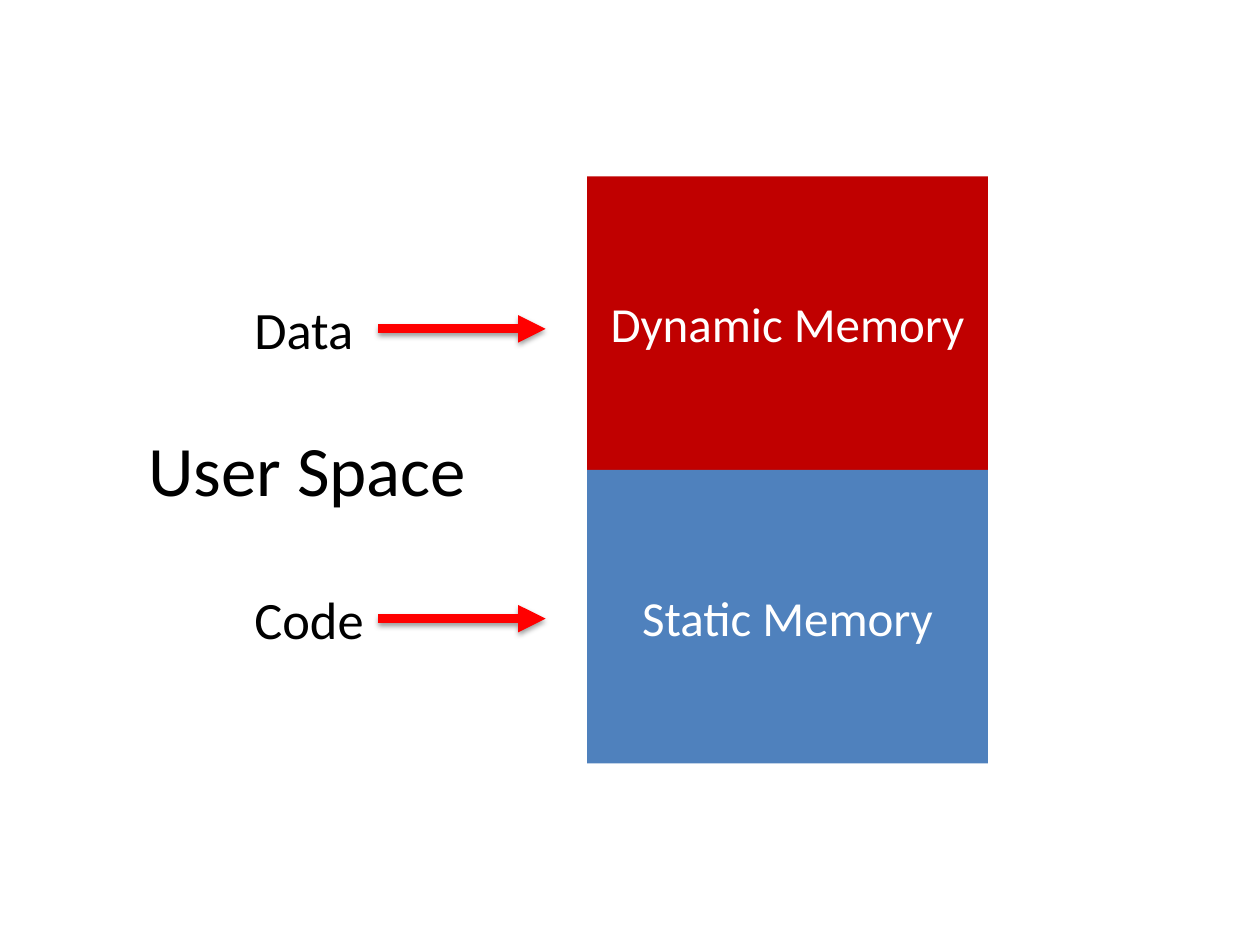
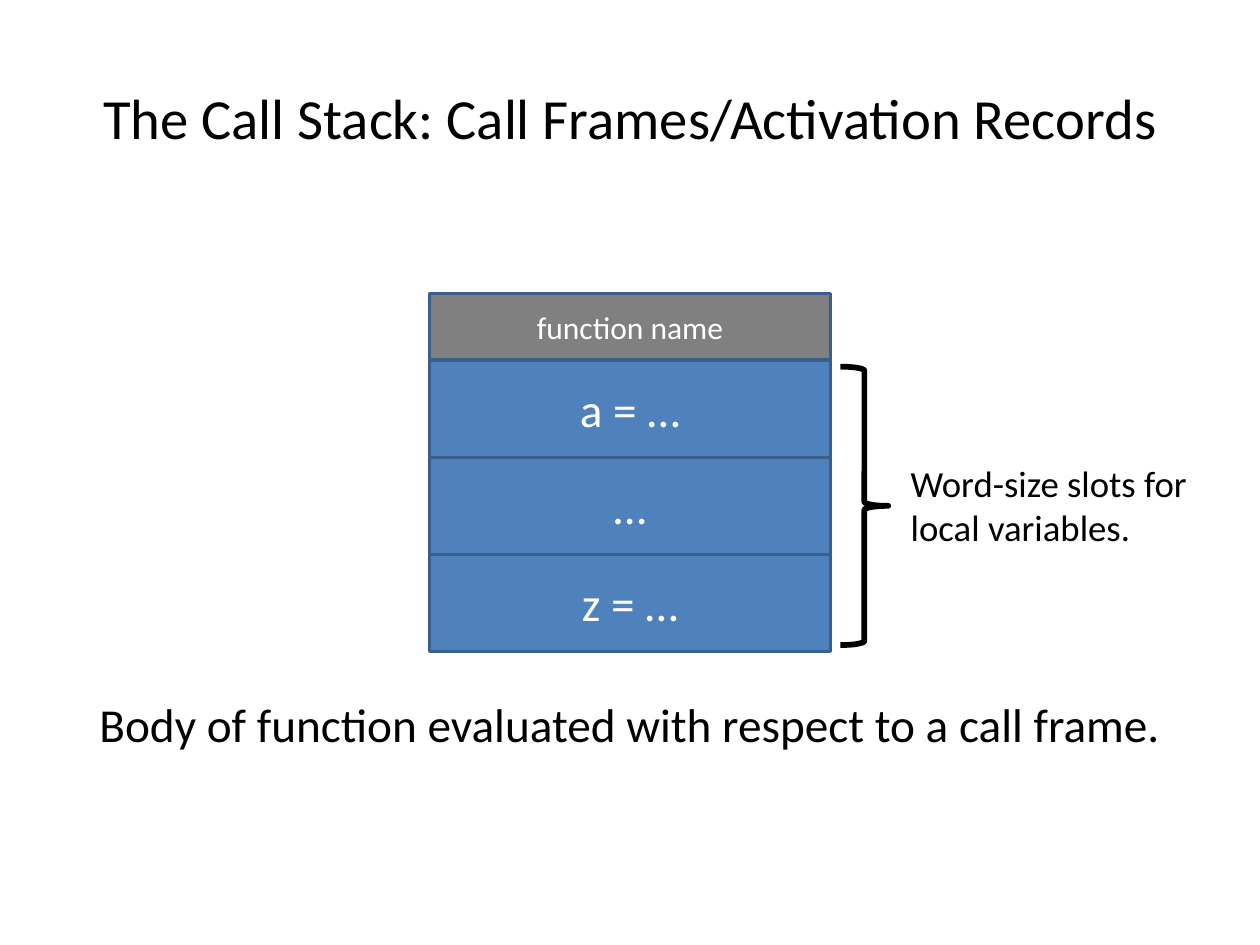
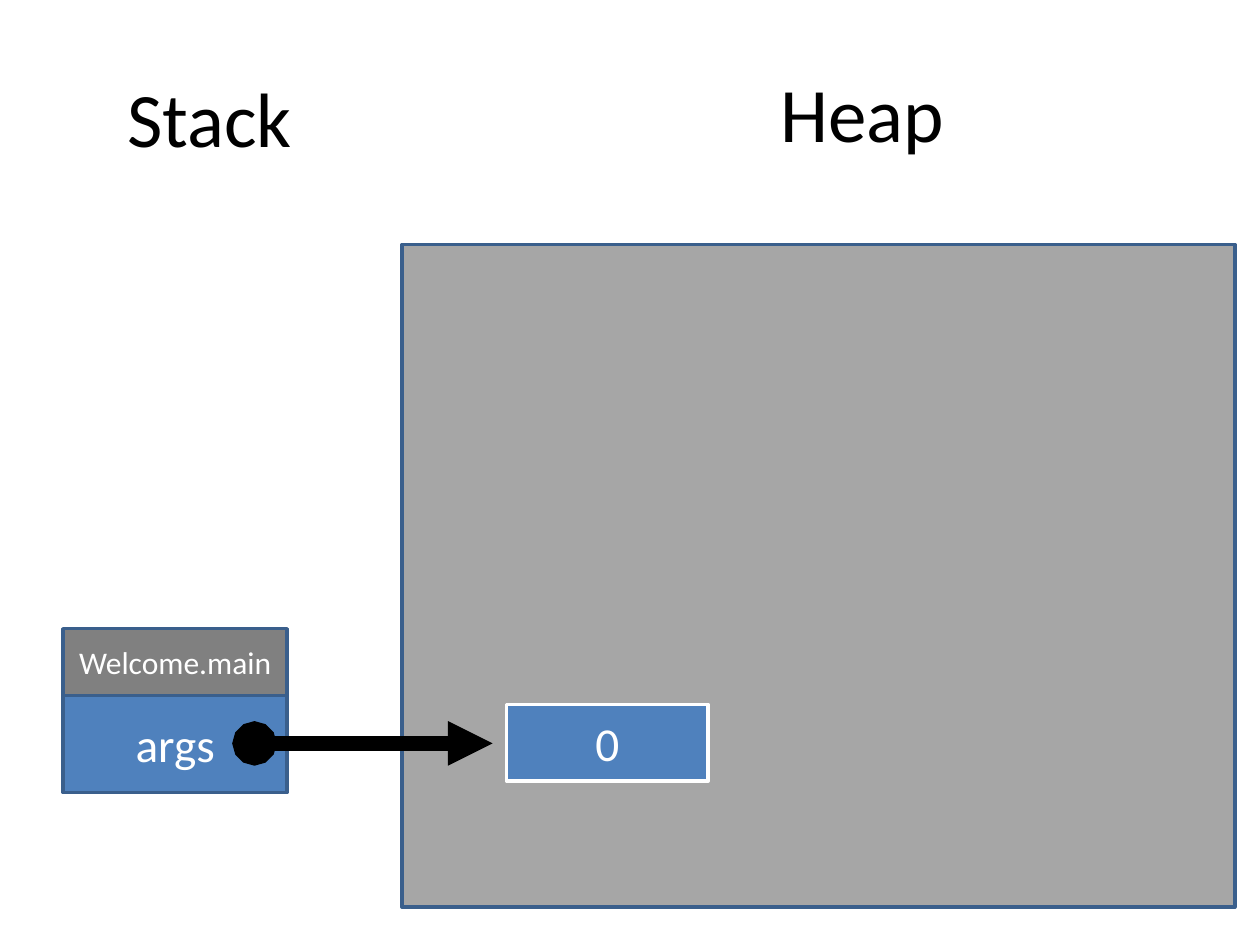
"""Build three slides on program memory: user space, call frames, stack and heap."""
from dataclasses import dataclass

from lxml import etree
from pptx import Presentation
from pptx import util as u
from pptx.dml.color import RGBColor
from pptx.enum import shapes, text
from pptx.oxml.ns import qn


@dataclass(frozen=True)
class Theme:
    """Colours, type sizes and line widths shared by the slides."""
    font: str = "Calibri"
    ink: str = "000000"
    paper: str = "FFFFFF"
    blue: str = "4F81BD"
    edge: str = "3A5F8C"
    dark_red: str = "C00000"
    red: str = "FF0000"
    header: str = "808080"
    heap: str = "A6A6A6"
    heading: float = 44
    region_title: float = 40.5
    long_title: float = 32.4
    label: float = 30
    region: float = 28
    body: float = 27
    note: float = 21
    small: float = 18
    border: float = 2


T = Theme()
HEADER_H, SLOT_H = 0.53, 0.77


def rgb(code):
    """Turn a hex code into a colour."""
    return RGBColor.from_string(code)


def write(sp, words, size, color, centred=True):
    """Put one styled paragraph into a shape."""
    tf = sp.text_frame
    tf.word_wrap = True
    tf.vertical_anchor = text.MSO_ANCHOR.MIDDLE if centred else text.MSO_ANCHOR.TOP
    p = tf.paragraphs[0]
    p.text = words
    p.alignment = text.PP_ALIGN.CENTER if centred else text.PP_ALIGN.LEFT
    p.font.name, p.font.size = T.font, u.Pt(size)
    p.font.color.rgb = rgb(color)


def add_text(s, words, box, size, centred=False, wrap=True):
    """Add a text box."""
    sp = s.shapes.add_textbox(*map(u.Inches, box))
    write(sp, words, size, T.ink, centred)
    sp.text_frame.word_wrap = wrap


def add_title(s, words, box, size):
    """Add a centred heading."""
    add_text(s, words, box, size, centred=True)


def add_box(parent, box, fill, words="", size=T.body, edge=T.edge):
    """Add a filled rectangle, with a border unless edge is None."""
    sp = parent.shapes.add_shape(shapes.MSO_SHAPE.RECTANGLE, *map(u.Inches, box))
    sp.shadow.inherit = False
    sp.fill.solid()
    sp.fill.fore_color.rgb = rgb(fill)
    if edge:
        sp.line.color.rgb = rgb(edge)
        sp.line.width = u.Pt(T.border)
    else:
        sp.line.fill.background()
    if words:
        write(sp, words, size, T.paper)


def add_frame(s, left, top, width, name, slots):
    """Add a call frame: a header with one slot per variable below it."""
    group = s.shapes.add_group_shape()
    add_box(group, (left, top, width, HEADER_H), T.header, name, T.small)
    for i, slot in enumerate(slots):
        y = top + HEADER_H + i * SLOT_H
        add_box(group, (left, y, width, SLOT_H), T.blue, slot)


def add_brace(s, box):
    """Add a brace that opens to the left."""
    sp = s.shapes.add_shape(shapes.MSO_SHAPE.RIGHT_BRACE, *map(u.Inches, box))
    sp.shadow.inherit = False
    sp.fill.background()
    sp.line.color.rgb = rgb(T.ink)
    sp.line.width = u.Pt(3.25)


def add_arrow(s, x1, x2, y, color, width, head=None, shadow=False):
    """Add a horizontal arrow, optionally with a start mark and a soft shadow."""
    line = s.shapes.add_connector(
        shapes.MSO_CONNECTOR.STRAIGHT, *map(u.Inches, (x1, y, x2, y)))
    line.line.color.rgb = rgb(color)
    line.line.width = u.Pt(width)
    ln = line.line._get_or_add_ln()
    if head:
        etree.SubElement(ln, qn("a:headEnd"), type=head)
    etree.SubElement(ln, qn("a:tailEnd"), type="triangle")
    effects = etree.SubElement(line._element.spPr, qn("a:effectLst"))
    if shadow:
        outer = etree.SubElement(
            effects, qn("a:outerShdw"), blurRad=str(u.Pt(3.1)),
            dist=str(u.Pt(1.6)), dir=str(90 * 60000), rotWithShape="0")
        clr = etree.SubElement(outer, qn("a:srgbClr"), val=T.ink)
        etree.SubElement(clr, qn("a:alpha"), val="38000")


def user_space(s):
    """Show the two memory regions and what each one holds."""
    add_title(s, "User Space", (0.86, 3.17, 3.16, 1.09), T.region_title)
    height = 2.33
    regions = [("Dynamic Memory", T.dark_red, "Data", 1.0, 2.61),
               ("Static Memory", T.blue, "Code", 1.08, 4.91)]
    for i, (region, fill, content, width, y) in enumerate(regions):
        add_box(s, (4.66, 1.4 + i * height, 3.18, height), fill, region,
                T.region, edge=None)
        add_text(s, content, (1.92, y - 0.3, width, 0.61), T.label, wrap=False)
        add_arrow(s, 3, 4.33, y, T.red, 5.25, shadow=True)


def call_frames(s):
    """Show the layout of a call frame."""
    add_title(s, "The Call Stack: Call Frames/Activation Records",
              (0.5, 0.3, 9, 1.25), T.long_title)
    add_text(s, "Body of function evaluated with respect to a call frame.",
             (0.69, 5.47, 8.62, 0.56), T.body)
    add_frame(s, 3.41, 2.33, 3.18, "function name", ["a = …", "…", "z = …"])
    add_brace(s, (6.67, 2.91, 0.38, 2.21))
    add_text(s, "Word-size slots for local variables.",
             (7.13, 3.61, 2.63, 0.81), T.note)


def stack_and_heap(s):
    """Show a stack slot that refers to a heap object."""
    add_title(s, "Stack", (0.5, 0.3, 2.33, 1.25), T.heading)
    add_title(s, "Heap", (5.68, 0.26, 2.33, 1.25), T.heading)
    add_frame(s, 0.5, 4.99, 1.78, "Welcome.main", ["args"])
    add_box(s, (3.19, 1.94, 6.61, 5.26), T.heap)
    add_box(s, (4.02, 5.59, 1.6, 0.61), T.blue, "0", edge=T.paper)
    add_arrow(s, 2.02, 3.91, 5.9, T.ink, 8.5, head="oval")


def main():
    """Build and save the presentation."""
    prs = Presentation()
    prs.slide_width, prs.slide_height = u.Inches(10), u.Inches(7.5)
    for build in (user_space, call_frames, stack_and_heap):
        build(prs.slides.add_slide(prs.slide_layouts[6]))
    prs.save("out.pptx")


if __name__ == "__main__":
    main()
